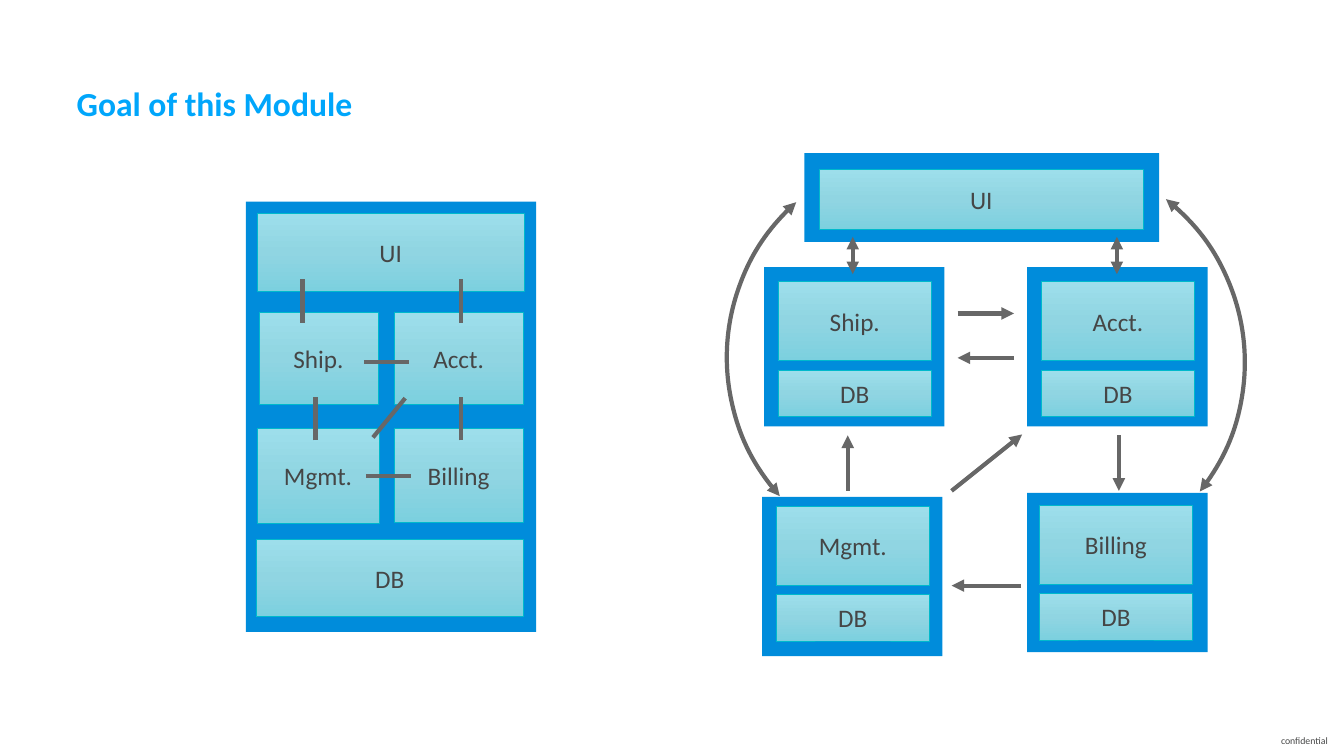
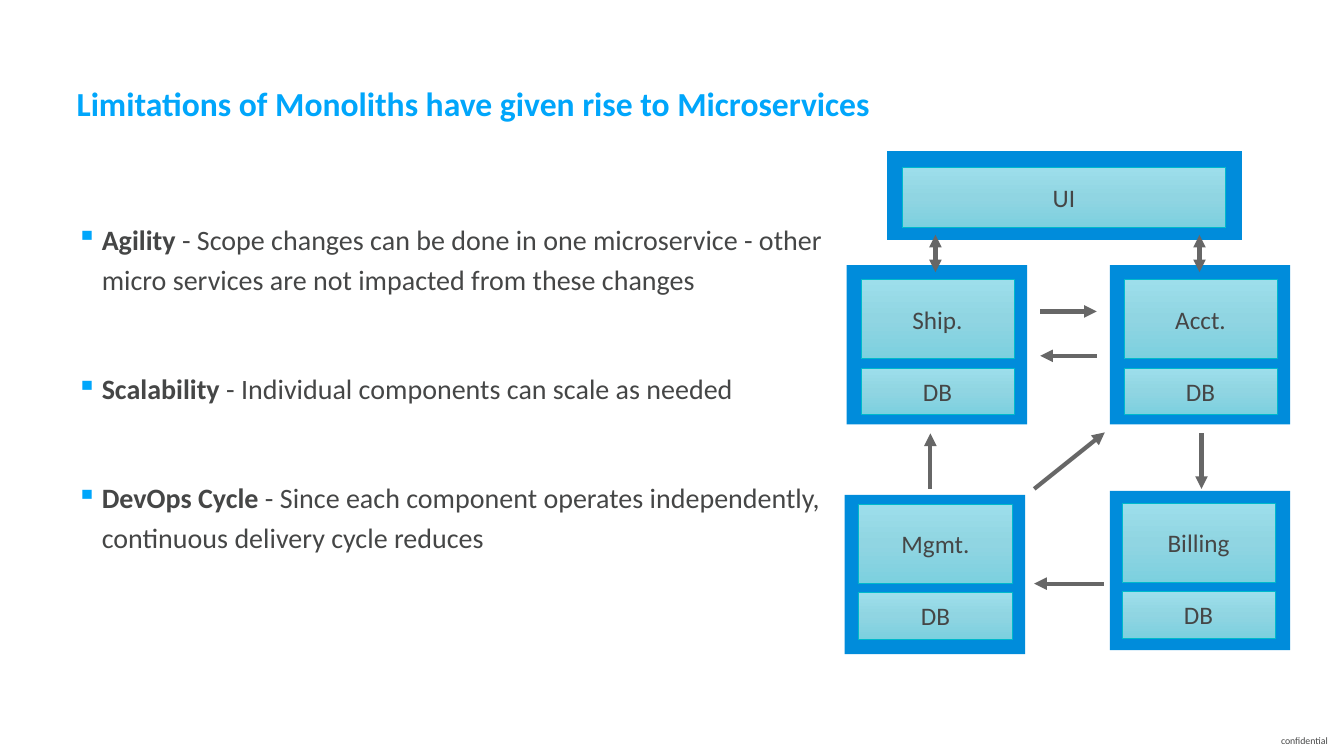
from copy import deepcopy

from pptx import Presentation
from pptx.dml.color import RGBColor
from pptx.enum.shapes import MSO_CONNECTOR as CONNECTOR, MSO_SHAPE as SHAPE
from pptx.enum.text import MSO_ANCHOR as ANCHOR, PP_ALIGN as ALIGN
from pptx.oxml.ns import qn
from pptx.oxml.xmlchemy import OxmlElement as new_element
from pptx.util import Inches, Pt

# The grid has ten columns and ten rows to the inch.
COLUMNS, ROWS = 133.33, 75
CELL = Inches(0.1)
FONT = "Calibri"
COLORS = {
    "title": "00A6FB",
    "text": "454646",
    "plate": "008CDB",
    "edge": "00B9CC",
    "line": "676767",
}
GRADIENT = [(0, "9DDEEB"), (0.5, "90D5E2"), (1, "7CD0DF")]
STYLES = {
    "title": {"size": Pt(24), "bold": True},
    "body": {"size": Pt(20)},
    "label": {"size": Pt(18)},
    "footer": {"size": Pt(7)},
}

MONOLITH_BOX = (24.4, 20, 28.8, 42.7)
MONOLITH_PARTS = [
    ("UI", (1.1, 1.2, 26.5, 7.7)),
    ("Ship.", (1.3, 11, 11.8, 9.1)),
    ("Acct.", (14.7, 11, 12.8, 9.1)),
    ("Mgmt.", (1.1, 22.5, 12.1, 9.4)),
    ("Billing", (14.7, 22.5, 12.8, 9.3)),
    ("DB", (1, 33.5, 26.5, 7.7)),
]
MONOLITH_LINKS = [
    (11.7, 15.9, 16.2, 15.9),
    (12.6, 23.4, 15.8, 19.5),
    (11.9, 27.2, 16.4, 27.2),
    (5.6, 12, 5.6, 7.7),
    (21.3, 12, 21.3, 7.7),
    (21.3, 23.7, 21.3, 19.4),
    (6.9, 23.7, 6.9, 19.4),
]

# Name, place of the plate, inset of the named part on it.
SERVICES = [
    ("Billing", (26.3, 33.7), (1.2, 1.2)),
    ("Mgmt.", (0, 34.1), (1.4, 0.9)),
    ("Acct.", (26.3, 11.3), (1.4, 1.4)),
    ("Ship.", (0.2, 11.3), (1.4, 1.4)),
]
CALLS = [
    (19.4, 15.9, 25, 15.9),
    (25, 20.3, 19.4, 20.3),
    (18.8, 33.5, 25.8, 27.9),
    (35.4, 28, 35.4, 33.5),
    (8.5, 33.5, 8.5, 28),
    (25.7, 42.9, 18.8, 42.9),
]
UI_CALLS = [(9, 12, 9, 8.3), (35.2, 12, 35.2, 8.3)]
UI_ARCS = [(-3.5, -0.4, 228.2), (6.6, 0.1, 38.4)]
ARC_SIZE = 41.3

BENEFITS = [
    ("Agility", " - Scope changes can be done in one microservice - other "
                "micro services are not impacted from these changes"),
    ("Scalability", " - Individual components can scale as needed"),
    ("DevOps Cycle", " - Since each component operates independently, "
                     "continuous delivery cycle reduces"),
]


def color(name):
    return RGBColor.from_string(COLORS[name])


def cells(*counts):
    return [round(count * CELL) for count in counts]


def shifted(origin, box):
    """Move a box or a pair of points by the origin."""
    return [value + origin[index % 2] if index < 2 else value
            for index, value in enumerate(box)]


def write(para, text, style, ink="text", **extra):
    span = para.add_run()
    span.text = text
    span.font.color.rgb = color(ink)
    for name, value in {"name": FONT, **STYLES[style], **extra}.items():
        setattr(span.font, name, value)


def add_text_frame(page, box, **settings):
    frame = page.shapes.add_textbox(*cells(*box)).text_frame
    margins = dict.fromkeys(
        ("margin_left", "margin_top", "margin_right", "margin_bottom"), 0)
    for name, value in {"word_wrap": True, **margins, **settings}.items():
        setattr(frame, name, value)
    return frame


def add_plate(page, box):
    plate = page.shapes.add_shape(SHAPE.RECTANGLE, *cells(*box))
    plate.shadow.inherit = False
    plate.fill.solid()
    plate.fill.fore_color.rgb = color("plate")
    plate.line.fill.background()


def add_part(page, box, label):
    """Add a labelled rectangle with the shared gradient."""
    part = page.shapes.add_shape(SHAPE.RECTANGLE, *cells(*box))
    part.shadow.inherit = False
    part.fill.gradient()
    part.fill.gradient_angle = 270
    stop_list = part.element.spPr.find(".//" + qn("a:gsLst"))
    stop_list.append(deepcopy(stop_list[0]))
    for stop, (position, value) in zip(part.fill.gradient_stops, GRADIENT):
        stop.position = position
        stop.color.rgb = RGBColor.from_string(value)
    part.line.color.rgb = color("edge")
    part.line.width = Pt(0.5)
    part.text_frame.vertical_anchor = ANCHOR.MIDDLE
    para = part.text_frame.paragraphs[0]
    para.alignment = ALIGN.CENTER
    write(para, label, "label")


def style_line(shape, ends):
    shape.line.color.rgb = color("line")
    shape.line.width = Pt(3)
    outline = shape.element.spPr.find(qn("a:ln"))
    for end in ends:
        arrowhead = new_element(f"a:{end}")
        arrowhead.set("type", "triangle")
        outline.append(arrowhead)


def add_links(page, origin, links, ends=()):
    left, top = origin
    for x1, y1, x2, y2 in links:
        link = page.shapes.add_connector(
            CONNECTOR.STRAIGHT,
            *cells(left + x1, top + y1, left + x2, top + y2))
        style_line(link, ends)
        link.element.spPr.append(new_element("a:effectLst"))


def add_arcs(page, origin):
    for x, y, rotation in UI_ARCS:
        box = shifted(origin, (x, y, ARC_SIZE, ARC_SIZE))
        arc = page.shapes.add_shape(SHAPE.ARC, *cells(*box))
        arc.shadow.inherit = False
        arc.fill.background()
        arc.rotation = rotation
        style_line(arc, ("headEnd", "tailEnd"))


def add_monolith(page, box):
    origin = box[:2]
    add_plate(page, box)
    for label, part in MONOLITH_PARTS:
        add_part(page, shifted(origin, part), label)
    add_links(page, origin, MONOLITH_LINKS)


def add_microservices(page, origin):
    add_plate(page, shifted(origin, (4.2, 0, 35.2, 8.8)))
    add_part(page, shifted(origin, (5.7, 1.6, 32.1, 6)), "UI")
    for label, place, inset in SERVICES:
        corner = shifted(origin, place)
        add_plate(page, (*corner, 17.9, 15.8))
        core = shifted(corner, inset)
        add_part(page, (*core, 15.2, 7.9), label)
        add_part(page, shifted(core, (0, 8.8, 15.2, 4.6)), "DB")
    add_links(page, origin, CALLS, ("tailEnd",))
    add_links(page, origin, UI_CALLS, ("headEnd", "tailEnd"))


def add_benefits(page, box):
    frame = add_text_frame(page, box)
    for index, (term, detail) in enumerate(BENEFITS):
        para = frame.add_paragraph() if index else frame.paragraphs[0]
        para.line_spacing = 1.2
        para.space_before = Pt(49 if index else 0)
        settings = para._p.get_or_add_pPr()
        settings.set("marL", str(Inches(0.25)))
        settings.set("indent", str(-Inches(0.25)))
        bullet_color = new_element("a:buClr")
        ink = new_element("a:srgbClr")
        ink.set("val", COLORS["title"])
        bullet_color.append(ink)
        bullet = new_element("a:buChar")
        bullet.set("char", "▪")
        settings.extend([bullet_color, bullet])
        write(para, term, "body", bold=True)
        write(para, detail, "body", bold=False)


def add_page(deck, title):
    """Add a slide with the shared title and footer."""
    page = deck.slides.add_slide(deck.slide_layouts[6])
    heading = add_text_frame(page, (7.6, 6.2, 117.8, 7.3),
                             vertical_anchor=ANCHOR.MIDDLE).paragraphs[0]
    heading.line_spacing = 1.2
    write(heading, title, "title", "title")
    footer = add_text_frame(page, (125.5, 73, 7.8, 1), word_wrap=False,
                            vertical_anchor=ANCHOR.MIDDLE).paragraphs[0]
    footer.alignment = ALIGN.CENTER
    write(footer, "confidential", "footer")
    return page


def add_goal_page(deck):
    page = add_page(deck, "Goal of this Module")
    origin = (75.6, 15.2)
    add_monolith(page, MONOLITH_BOX)
    add_microservices(page, origin)
    add_arcs(page, origin)


def add_limitations_page(deck):
    page = add_page(
        deck, "Limitations of Monoliths have given rise to Microservices")
    add_benefits(page, (7.6, 21.4, 74.7, 44.5))
    add_microservices(page, (83.8, 15))


def main():
    deck = Presentation()
    deck.slide_width, deck.slide_height = cells(COLUMNS, ROWS)
    add_goal_page(deck)
    add_limitations_page(deck)
    deck.save("out.pptx")


if __name__ == "__main__":
    main()
